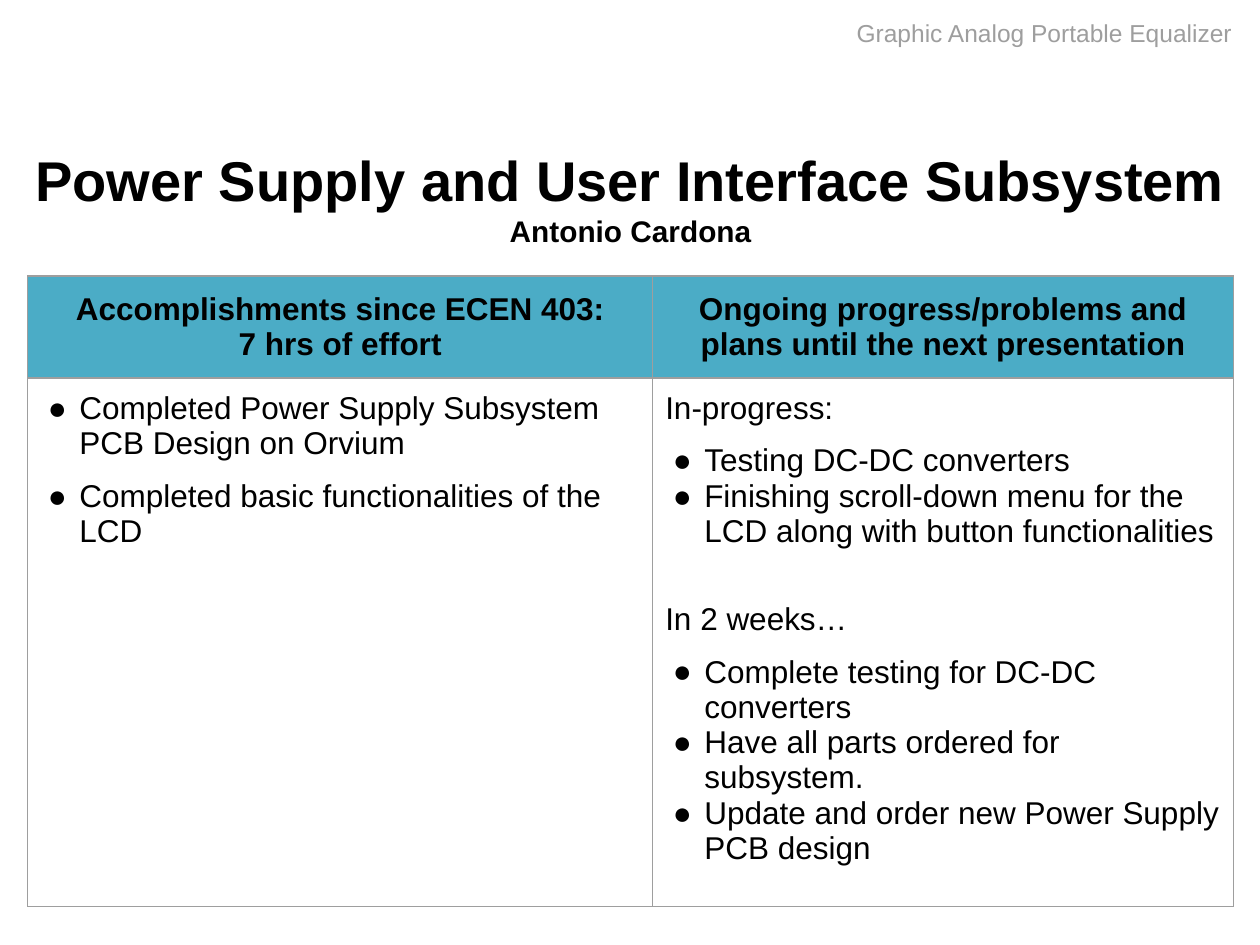
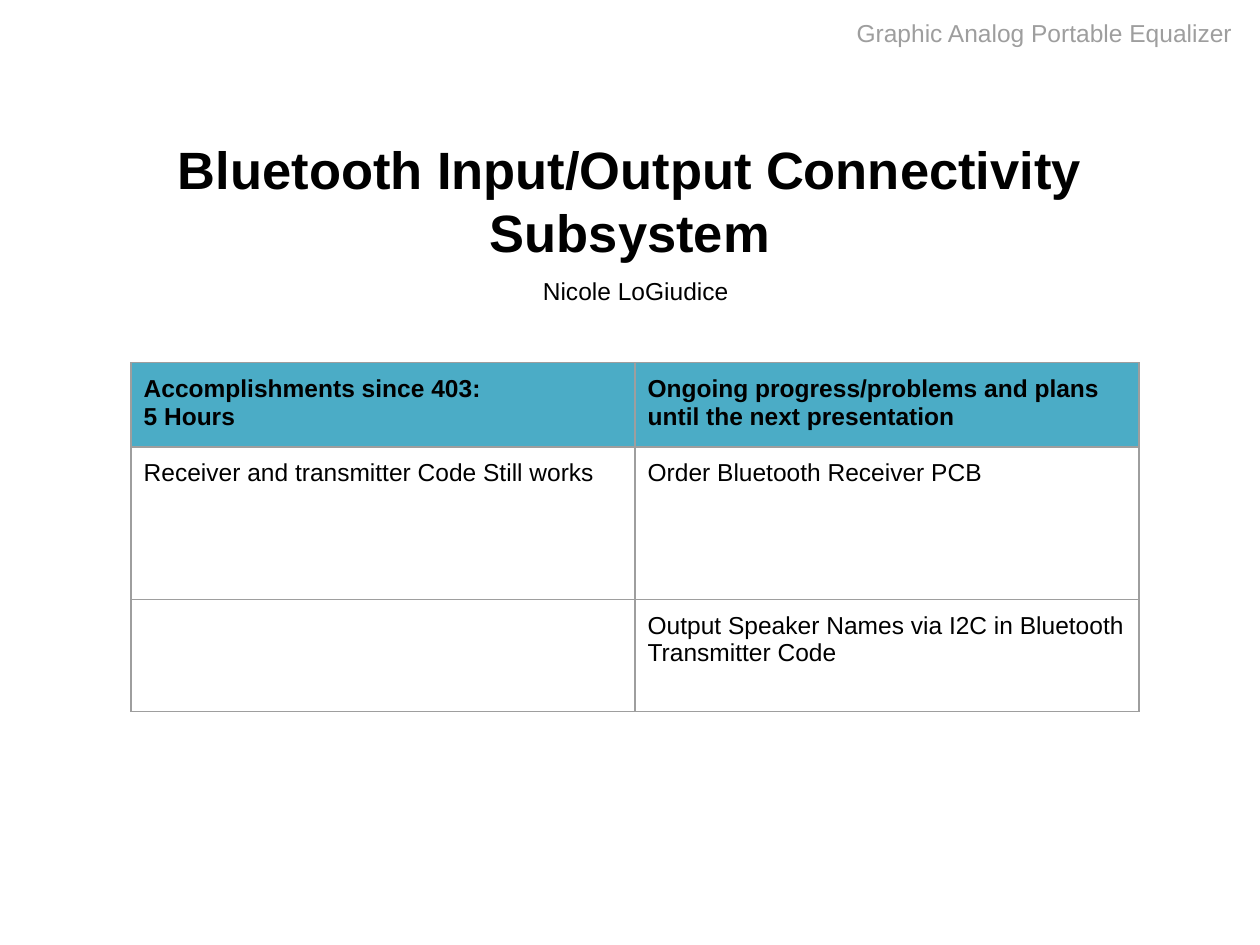
"""Build two subsystem status slides for the equalizer project."""
from lxml import etree
from pptx import Presentation
from pptx.dml.color import RGBColor
from pptx.enum.text import MSO_ANCHOR, MSO_AUTO_SIZE, PP_ALIGN
from pptx.oxml.ns import qn
from pptx.util import Inches, Pt

LEFT, CENTER = PP_ALIGN.LEFT, PP_ALIGN.CENTER
TOP, MIDDLE = MSO_ANCHOR.TOP, MSO_ANCHOR.MIDDLE
NO_AUTOFIT, GROW = MSO_AUTO_SIZE.NONE, MSO_AUTO_SIZE.SHAPE_TO_FIT_TEXT
FONT = "Arial"
COLORS = {"text": "000000", "muted": "9E9E9E", "border": "9E9E9E", "header": "4BACC6"}
TITLE_ONLY = 5
PADDING = Inches(0.1)


def add_run(paragraph, text, size, bold=False, color="text"):
    run = paragraph.add_run()
    run.text = text
    run.font.name = FONT
    run.font.size = Pt(size)
    run.font.bold = bold
    run.font.color.rgb = RGBColor.from_string(COLORS[color])


def add_bullet(paragraph):
    properties = paragraph._p.get_or_add_pPr()
    properties.set("marL", str(Inches(0.31)))
    properties.set("indent", str(Inches(-0.25)))
    bullet_color = etree.SubElement(properties, qn("a:buClr"))
    etree.SubElement(bullet_color, qn("a:srgbClr"), val=COLORS["text"])
    etree.SubElement(properties, qn("a:buFont"), typeface=FONT)
    etree.SubElement(properties, qn("a:buChar"), char="●")


def fill_text(frame, lines, size, bold=False, align=LEFT):
    """Write lines given as plain text or as (text, bulleted, space before)."""
    for index, line in enumerate(lines):
        text, bulleted, space = (line, False, 0) if isinstance(line, str) else line
        paragraph = frame.paragraphs[0] if index == 0 else frame.add_paragraph()
        paragraph.alignment = align
        if space:
            paragraph.space_before = Pt(space)
        if bulleted:
            add_bullet(paragraph)
        add_run(paragraph, text, size, bold)


def add_label(slide, text, left, top, width, color="text"):
    label = slide.shapes.add_textbox(Inches(left), Inches(top), Inches(width), Inches(0.44))
    frame = label.text_frame
    frame.margin_left = frame.margin_right = PADDING
    frame.margin_top = frame.margin_bottom = PADDING
    frame.word_wrap = True
    frame.auto_size = GROW
    add_run(frame.paragraphs[0], text, 14, color=color)


def add_subsystem_slide(deck, title_lines, left, top, width):
    """Add a slide with the project label and a title of (text, size) lines."""
    slide = deck.slides.add_slide(deck.slide_layouts[TITLE_ONLY])
    title = slide.shapes.title
    title.left, title.top = Inches(left), Inches(top)
    title.width, title.height = Inches(width), Inches(0.88)
    frame = title.text_frame
    frame.word_wrap = True
    frame.auto_size = NO_AUTOFIT
    frame.vertical_anchor = MIDDLE
    for index, (text, size) in enumerate(title_lines):
        paragraph = frame.paragraphs[0] if index == 0 else frame.add_paragraph()
        paragraph.alignment = CENTER
        add_run(paragraph, text, size, bold=True)
    add_label(slide, "Graphic Analog Portable Equalizer", 6.7, 0.04, 3.21, "muted")
    return slide


def style_cell(cell, is_header):
    cell.margin_left = cell.margin_right = PADDING
    cell.margin_top = cell.margin_bottom = PADDING
    properties = cell._tc.get_or_add_tcPr()
    for side in ("lnL", "lnR", "lnT", "lnB"):
        border = etree.SubElement(properties, qn(f"a:{side}"), w=str(Pt(0.75)))
        line_fill = etree.SubElement(border, qn("a:solidFill"))
        etree.SubElement(line_fill, qn("a:srgbClr"), val=COLORS["border"])
    if is_header:
        cell.fill.solid()
        cell.fill.fore_color.rgb = RGBColor.from_string(COLORS["header"])
    else:
        cell.fill.background()


def add_status_table(slide, rows, left, top, widths, heights, size,
                     header_align=LEFT, header_anchor=TOP):
    table = slide.shapes.add_table(
        len(rows), len(widths), Inches(left), Inches(top),
        Inches(sum(widths)), Inches(sum(heights))).table
    table.first_row = table.horz_banding = False
    for column, width in zip(table.columns, widths):
        column.width = Inches(width)
    for row_index, (cells, height) in enumerate(zip(rows, heights)):
        table.rows[row_index].height = Inches(height)
        is_header = row_index == 0
        for column_index, lines in enumerate(cells):
            cell = table.cell(row_index, column_index)
            style_cell(cell, is_header)
            cell.vertical_anchor = header_anchor if is_header else TOP
            fill_text(cell.text_frame, lines, size, is_header,
                      header_align if is_header else LEFT)


def build_power_slide(deck):
    slide = add_subsystem_slide(
        deck, [("Power Supply and User Interface Subsystem", 32), ("Antonio Cardona", 17)],
        0.18, 1.12, 9.65)
    accomplishments = [
        ("Completed Power Supply Subsystem PCB Design on Orvium", True, 0),
        ("Completed basic functionalities of the LCD", True, 10),
    ]
    plans = [
        "In-progress:",
        ("Testing DC-DC converters", True, 10),
        ("Finishing scroll-down menu for the LCD along with button functionalities", True, 0),
        ("In 2 weeks…", False, 30),
        ("Complete testing for DC-DC converters", True, 10),
        ("Have all parts ordered for subsystem.", True, 0),
        ("Update and order new Power Supply PCB design", True, 0),
    ]
    rows = [
        [["Accomplishments since ECEN 403:", "7 hrs of effort"],
         ["Ongoing progress/problems and plans until the next presentation"]],
        [accomplishments, plans],
    ]
    add_status_table(slide, rows, 0.22, 2.19, [4.96, 4.61], [0.81, 4.08], 18, CENTER, MIDDLE)


def build_bluetooth_slide(deck):
    slide = add_subsystem_slide(
        deck, [("Bluetooth Input/Output Connectivity Subsystem", 30)], 0.5, 1.15, 9)
    rows = [
        [["Accomplishments since 403:", "5 Hours"],
         ["Ongoing progress/problems and plans until the next presentation"]],
        [["Receiver and transmitter Code Still works"], ["Order Bluetooth Receiver PCB"]],
        [[], ["Output Speaker Names via I2C in Bluetooth Transmitter Code"]],
    ]
    add_status_table(slide, rows, 1.04, 2.88, [4, 4], [0.64, 1.21, 0.89], 14)
    add_label(slide, "Nicole LoGiudice", 4.21, 2.09, 2.41)


def main():
    deck = Presentation()
    deck.slide_width, deck.slide_height = Inches(10), Inches(7.5)
    build_power_slide(deck)
    build_bluetooth_slide(deck)
    deck.save("out.pptx")


if __name__ == "__main__":
    main()
